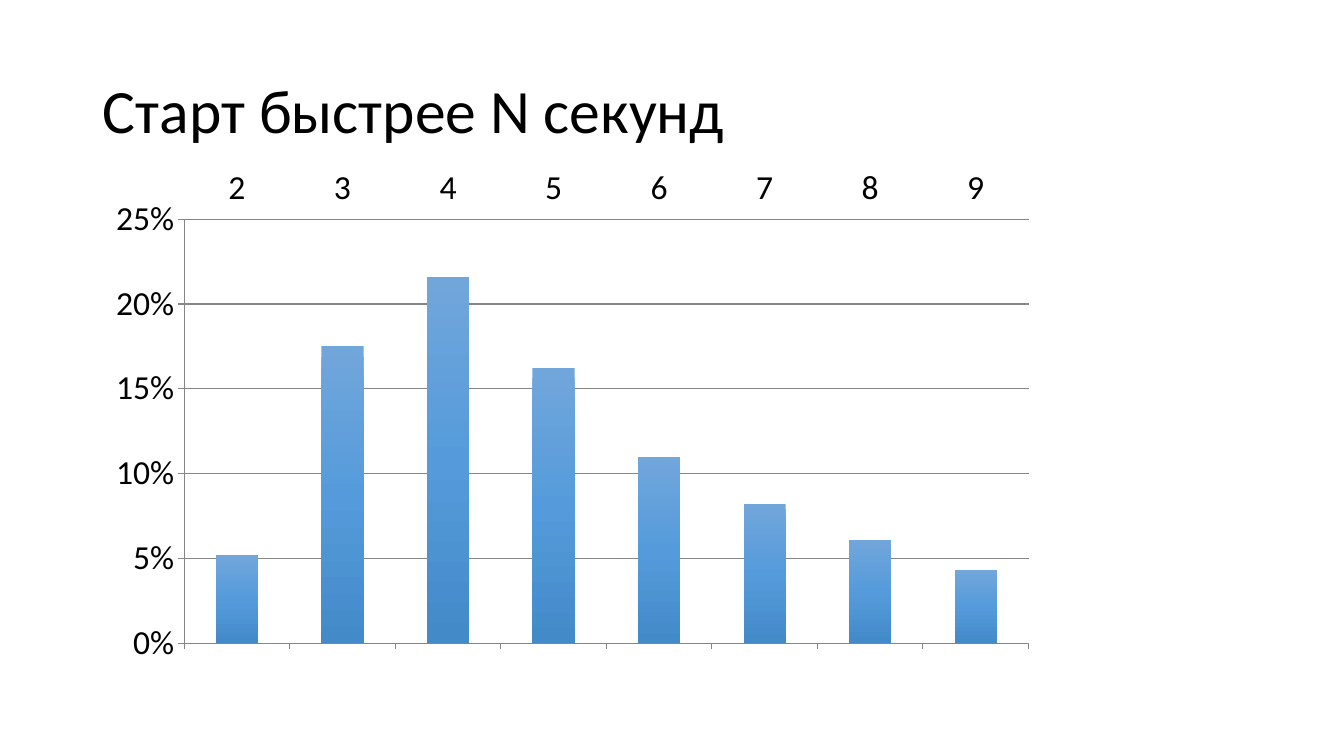
from copy import deepcopy

from pptx import Presentation
from pptx.chart.data import CategoryChartData
from pptx.dml.color import RGBColor
from pptx.enum.chart import XL_CHART_TYPE, XL_TICK_LABEL_POSITION, XL_TICK_MARK
from pptx.enum.text import MSO_ANCHOR, PP_ALIGN
from pptx.oxml import parse_xml
from pptx.oxml.ns import nsdecls
from pptx.util import Inches, Pt


def color(hex_string):
    return RGBColor.from_string(hex_string)


def format_font(font, size):
    font.name = "Calibri"
    font.size = Pt(size)
    font.bold = False
    font.color.rgb = color("000000")


deck = Presentation()
deck.slide_width = Inches(13.33)
deck.slide_height = Inches(7.5)
page = deck.slides.add_slide(deck.slide_layouts[5])

# Title
title = page.shapes.title
title.left, title.top = Inches(0.92), Inches(0.4)
title.width, title.height = Inches(11.5), Inches(1.45)
title.text_frame.text = "Старт быстрее N секунд"
title.text_frame.vertical_anchor = MSO_ANCHOR.MIDDLE
heading = title.text_frame.paragraphs[0]
heading.alignment = PP_ALIGN.LEFT
heading.line_spacing = 0.9
format_font(heading.runs[0].font, 44)

# Share of starts by number of seconds
chart_data = CategoryChartData(number_format="0%")
chart_data.categories = [str(seconds) for seconds in range(2, 10)]
chart_data.add_series(
    "Series 1", [0.052, 0.175, 0.216, 0.162, 0.11, 0.082, 0.061, 0.043]
)
chart = page.shapes.add_chart(
    XL_CHART_TYPE.COLUMN_CLUSTERED,
    Inches(0.98), Inches(1.56), Inches(9.41), Inches(5.13),
    chart_data,
).chart
chart.has_legend = False
chart.has_title = False
format_font(chart.font, 10)

# Axes
for axis in (chart.category_axis, chart.value_axis):
    axis.major_tick_mark = XL_TICK_MARK.OUTSIDE
    axis.minor_tick_mark = XL_TICK_MARK.NONE
    axis.format.line.color.rgb = color("868686")
    axis.format.line.width = Pt(0.75)
    format_font(axis.tick_labels.font, 24)

chart.category_axis.tick_label_position = XL_TICK_LABEL_POSITION.HIGH
shares = chart.value_axis
shares.minimum_scale = 0
shares.maximum_scale = 0.25
shares.major_unit = 0.05
shares.tick_labels.number_format = "0%"
shares.tick_labels.number_format_is_linked = False
shares.has_major_gridlines = True
shares.major_gridlines.format.line.color.rgb = color("868686")
shares.major_gridlines.format.line.width = Pt(0.75)

# Columns, shaded from top to bottom
plot = chart.plots[0]
plot.gap_width = 150
plot.vary_by_categories = False
fill = plot.series[0].format.fill
fill.gradient()
fill.gradient_angle = 270
stop_list = plot.series[0]._element.xpath(".//a:gsLst")[0]
stop_list.insert(1, deepcopy(stop_list[0]))
shades = [(0, "71A6DB"), (0.5, "559BDB"), (1, "438AC9")]
for stop, (position, shade) in zip(fill.gradient_stops, shades):
    stop.position = position
    stop.color.rgb = color(shade)

# Inner plot area, as fractions of the chart
plot_area = chart._chartSpace.chart.plotArea
for old_layout in plot_area.xpath("c:layout"):
    plot_area.remove(old_layout)
plot_area.insert(0, parse_xml(
    f'<c:layout {nsdecls("c")}><c:manualLayout><c:layoutTarget val="inner"/>'
    '<c:xMode val="edge"/><c:yMode val="edge"/>'
    '<c:x val="0.09"/><c:y val="0.12"/><c:w val="0.89"/><c:h val="0.82"/>'
    '</c:manualLayout></c:layout>'
))

deck.save("out.pptx")
